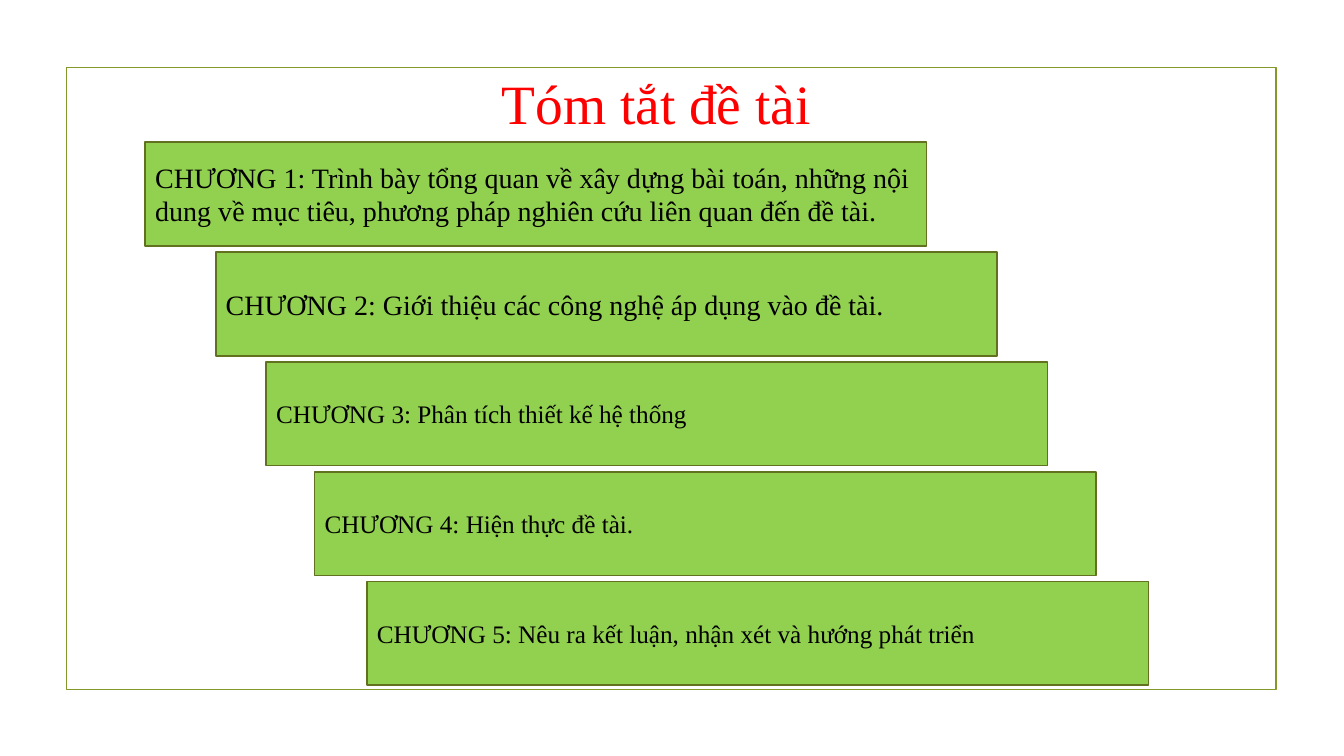
from pptx import Presentation
from pptx.dml.color import RGBColor
from pptx.enum.shapes import MSO_SHAPE
from pptx.enum.text import MSO_ANCHOR, MSO_AUTO_SIZE, PP_ALIGN
from pptx.util import Pt

EMU_PER_PX = 9144  # 100 px to the inch

RED = RGBColor(0xFF, 0x00, 0x00)
BLACK = RGBColor(0x00, 0x00, 0x00)
GREEN = RGBColor(0x92, 0xD0, 0x50)
DARK_GREEN = RGBColor(0x61, 0x71, 0x1F)
OLIVE = RGBColor(0x83, 0x99, 0x2A)

FONT_NAME = "Times New Roman"
STEP_TOP, STEP_PITCH = 141, 109
STEP_WIDTH, STEP_HEIGHT = 775, 103

# Left edge in px, text size in points, text
CHAPTERS = [
    (144, 20, "CHƯƠNG 1: Trình bày tổng quan về xây dựng bài toán, những nội dung "
              "về mục tiêu, phương pháp nghiên cứu liên quan đến đề tài."),
    (214, 20, "CHƯƠNG 2: Giới thiệu các công nghệ áp dụng vào đề tài."),
    (264, 18, "CHƯƠNG 3: Phân tích thiết kế hệ thống"),
    (312, 18, "CHƯƠNG 4: Hiện thực đề tài."),
    (364, 18, "CHƯƠNG 5: Nêu ra kết luận, nhận xét và hướng phát triển"),
]


def px(length):
    return length * EMU_PER_PX


def set_attributes(target, values):
    for name, value in values.items():
        setattr(target, name, value)


def write_text(shape, text, size, color, alignment):
    set_attributes(shape.text_frame, {
        "text": text,
        "word_wrap": True,
        "auto_size": MSO_AUTO_SIZE.NONE,
        "vertical_anchor": MSO_ANCHOR.MIDDLE,
    })
    paragraph = shape.text_frame.paragraphs[0]
    paragraph.alignment = alignment
    set_attributes(paragraph.font, {"name": FONT_NAME, "size": Pt(size), "bold": False})
    paragraph.font.color.rgb = color


def add_rectangle(slide, left, top, width, height, line_color, fill_color=None):
    shape = slide.shapes.add_shape(
        MSO_SHAPE.RECTANGLE, px(left), px(top), px(width), px(height))
    shape.shadow.inherit = False
    if fill_color is None:
        shape.fill.background()
    else:
        shape.fill.solid()
        shape.fill.fore_color.rgb = fill_color
    shape.line.color.rgb = line_color
    shape.line.width = Pt(1.25)
    return shape


def place_title(slide, text):
    title = slide.shapes.title
    set_attributes(title, {
        "left": px(126), "top": px(62), "width": px(1050), "height": px(79)})
    write_text(title, text, 39.6, RED, PP_ALIGN.CENTER)


def add_chapter(slide, index, left, size, text):
    step = add_rectangle(slide, left, STEP_TOP + index * STEP_PITCH,
                         STEP_WIDTH, STEP_HEIGHT, DARK_GREEN, GREEN)
    write_text(step, text, size, BLACK, PP_ALIGN.LEFT)


def main():
    presentation = Presentation()
    set_attributes(presentation, {"slide_width": px(1333), "slide_height": px(750)})
    slide = presentation.slides.add_slide(presentation.slide_layouts[5])

    # Frame and title
    add_rectangle(slide, 66, 67, 1200, 617, OLIVE)
    place_title(slide, "Tóm tắt đề tài")

    # Staircase of chapters
    for index, (left, size, text) in enumerate(CHAPTERS):
        add_chapter(slide, index, left, size, text)

    presentation.save("out.pptx")


if __name__ == "__main__":
    main()
